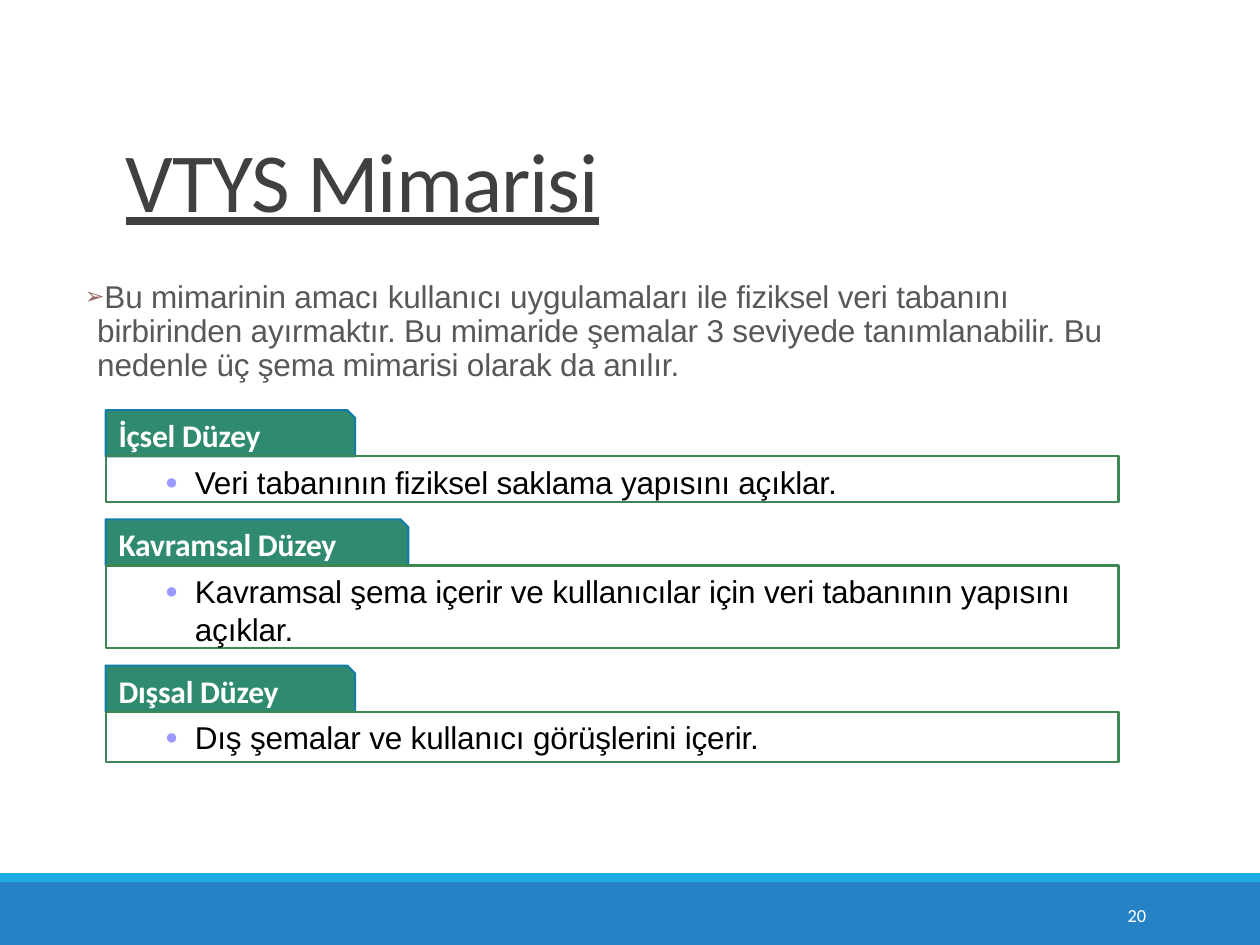
from lxml.etree import SubElement
from pptx import Presentation
from pptx.dml.color import RGBColor
from pptx.enum.shapes import MSO_SHAPE
from pptx.enum.text import MSO_ANCHOR
from pptx.oxml.ns import qn
from pptx.util import Cm, Pt

COLOURS = {
    "title": "404040", "intro": "585858", "intro_bullet": "996666",
    "tab": "308A70", "tab_line": "117DA7", "card_line": "3D8752",
    "card_text": "000000", "card_bullet": "9999FF", "white": "FFFFFF",
    "band": "2583C5", "stripe": "1CACE3",
}


def colour(name):
    return RGBColor.from_string(COLOURS[name])


def add_bullet(paragraph, char, ink, percent, indent, hanging):
    properties = paragraph._p.get_or_add_pPr()
    properties.set("marL", str(Cm(indent)))
    properties.set("indent", str(-Cm(hanging)))
    bullet_colour = SubElement(properties, qn("a:buClr"))
    SubElement(bullet_colour, qn("a:srgbClr"), val=COLOURS[ink])
    SubElement(properties, qn("a:buSzPct"), val=str(percent * 1000))
    SubElement(properties, qn("a:buFont"), typeface="Arial")
    SubElement(properties, qn("a:buChar"), char=char)


def write(shape, text, ink, size=18, font="Arial", bold=False, underline=False,
          tracking=-0.1, line=None, inset=(0, 0), anchor=MSO_ANCHOR.TOP, bullet=None):
    """Fill a shape with one paragraph; inset is (left, top) in cm."""
    frame = shape.text_frame
    frame.word_wrap = True
    frame.vertical_anchor = anchor
    frame.margin_left, frame.margin_top = (Cm(side) for side in inset)
    frame.margin_right = frame.margin_bottom = 0
    paragraph = frame.paragraphs[0]
    paragraph.alignment = 1
    if line:
        paragraph.line_spacing = Pt(line)
    if bullet:
        add_bullet(paragraph, **bullet)
    run = paragraph.add_run()
    run.text = text
    run.font.name, run.font.size = font, Pt(size)
    run.font.bold, run.font.underline = bold, underline
    run.font.color.rgb = colour(ink)
    run._r.get_or_add_rPr().set("spc", str(round(tracking * 100)))


class SlideBuilder:
    LEFT, CARD_WIDTH, TAB_HEIGHT = 2.13, 20.42, 0.93

    def __init__(self, slide):
        self.shapes = slide.shapes

    def box(self, kind, left, top, width, height, fill=None, line=None):
        shape = self.shapes.add_shape(kind, Cm(left), Cm(top), Cm(width), Cm(height))
        shape.shadow.inherit = False
        if fill:
            shape.fill.solid()
            shape.fill.fore_color.rgb = colour(fill)
        else:
            shape.fill.background()
        if line:
            shape.line.color.rgb = colour(line)
            shape.line.width = Pt(1.2)
        else:
            shape.line.fill.background()
        return shape

    def text(self, left, top, width, height, content, ink, **style):
        label = self.shapes.add_textbox(Cm(left), Cm(top), Cm(width), Cm(height))
        write(label, content, ink, **style)

    def level(self, top, heading, tab_width, description, card_height):
        """Draw a heading tab on top of its card and return the card's bottom."""
        tab = self.box(MSO_SHAPE.SNIP_1_RECTANGLE, self.LEFT, top, tab_width,
                       self.TAB_HEIGHT, "tab", "tab_line")
        write(tab, heading, "white", font="Calibri", bold=True,
              inset=(0.26, 0), anchor=MSO_ANCHOR.MIDDLE)
        card_top = top + self.TAB_HEIGHT
        card = self.box(MSO_SHAPE.RECTANGLE, self.LEFT, card_top, self.CARD_WIDTH,
                        card_height, line="card_line")
        write(card, description, "card_text", inset=(0, 0.13),
              bullet=dict(char="●", ink="card_bullet", percent=69,
                          indent=1.8, hanging=0.6))
        return card_top + card_height


def main():
    presentation = Presentation()
    presentation.slide_width, presentation.slide_height = Cm(25.4), Cm(19.05)
    builder = SlideBuilder(presentation.slides.add_slide(presentation.slide_layouts[6]))

    builder.box(MSO_SHAPE.RECTANGLE, 0, 17.78, 25.4, 1.27, "band")
    builder.box(MSO_SHAPE.RECTANGLE, 0, 17.6, 25.4, 0.18, "stripe")
    builder.text(2.54, 2.6, 20.75, 2.1, "VTYS Mimarisi", "title", size=48,
                 font="Calibri", underline=True, tracking=-0.6)
    builder.text(1.68, 5.54, 20.85, 2.3,
                 "Bu mimarinin amacı kullanıcı uygulamaları ile fiziksel veri tabanını "
                 "birbirinden ayırmaktır. Bu mimaride şemalar 3 seviyede tanımlanabilir. "
                 "Bu nedenle üç şema mimarisi olarak da anılır.",
                 "intro", line=19.4, inset=(0, 0.13),
                 bullet=dict(char="➢", ink="intro_bullet", percent=75,
                             indent=0.28, hanging=0.25))

    levels = [
        ("İçsel Düzey", 5.03, "Veri tabanının fiziksel saklama yapısını açıklar.", 0.92),
        ("Kavramsal Düzey", 6.1, "Kavramsal şema içerir ve kullanıcılar için "
         "veri tabanının yapısını açıklar.", 1.67),
        ("Dışsal Düzey", 5.03, "Dış şemalar ve kullanıcı görüşlerini içerir.", 1.02),
    ]
    top, gap = 8.27, 0.35
    for level in levels:
        top = builder.level(top, *level) + gap

    builder.text(22.73, 18.22, 0.6, 0.45, "20", "white", size=10.5,
                 font="Calibri", tracking=0.1)
    presentation.save("out.pptx")


if __name__ == "__main__":
    main()
